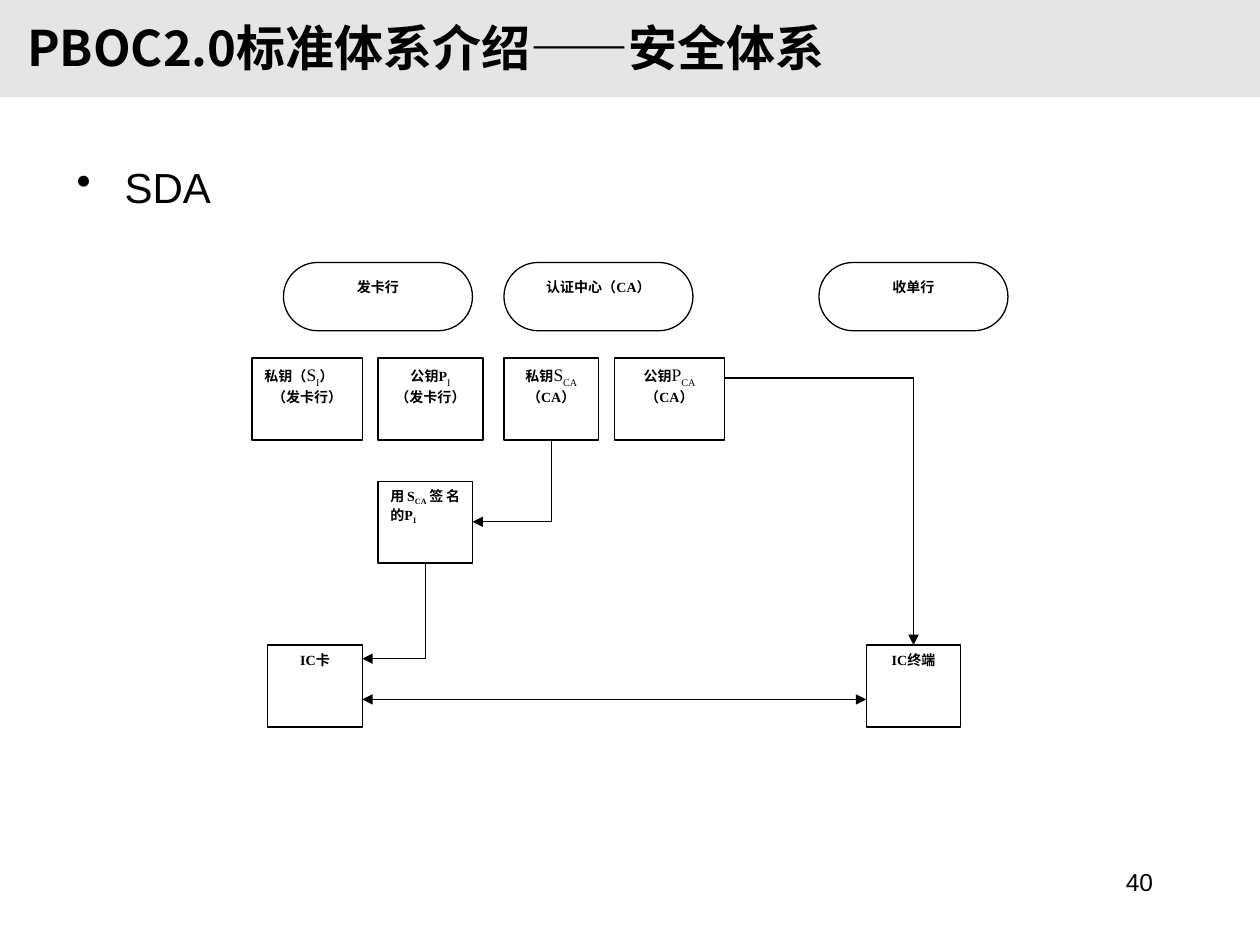
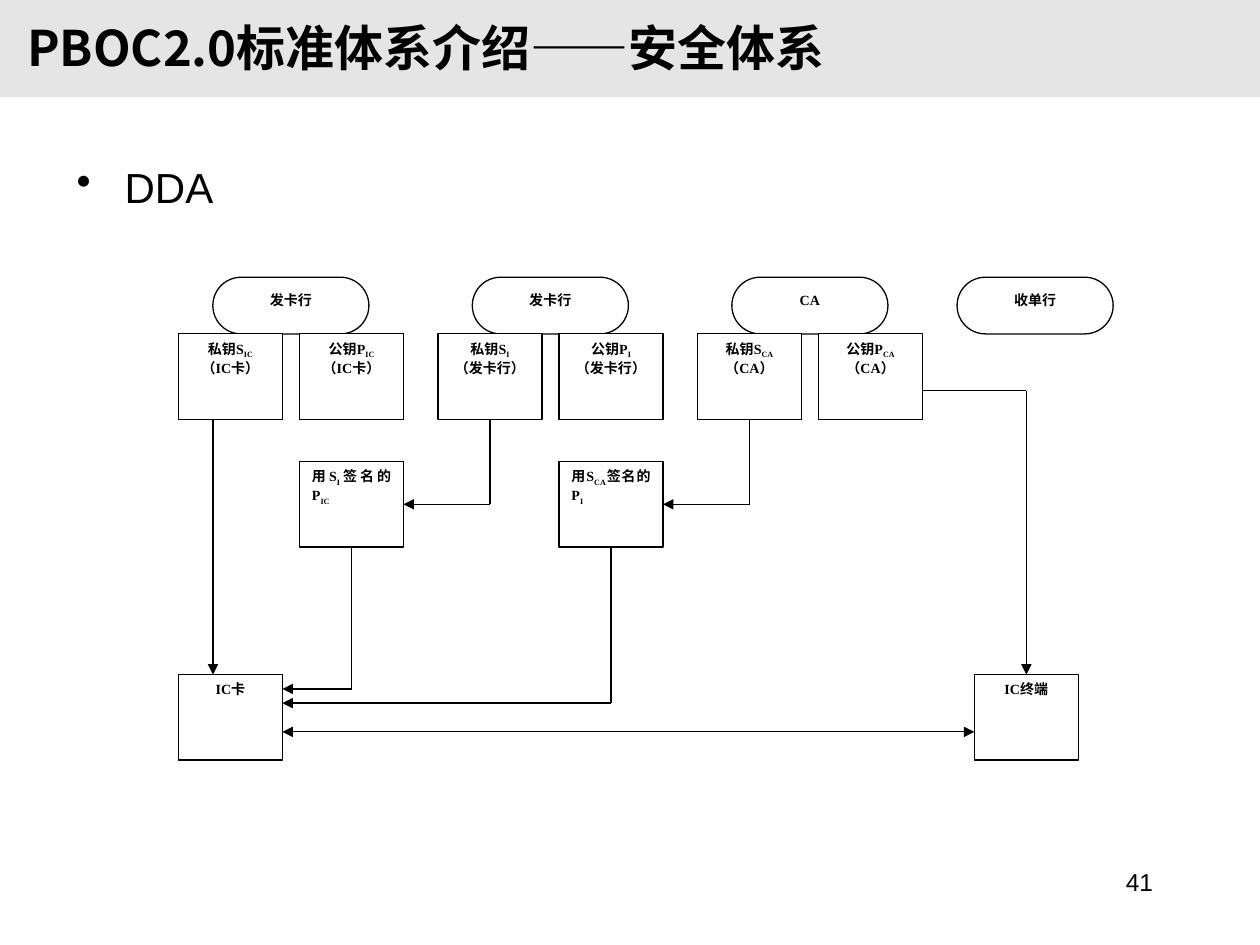
from lxml import etree
from pptx import Presentation
from pptx.dml.color import RGBColor
from pptx.enum import shapes, text
from pptx.oxml import ns
from pptx.util import Pt

BLACK, WHITE, GREY = "000000", "FFFFFF", "E5E5E5"
SANS, SERIF, HAN = "Arial", "Times New Roman", "Noto Sans CJK SC"
TITLE = "PBOC2.0标准体系介绍——安全体系"
KIND = shapes.MSO_SHAPE
ALIGN = text.PP_ALIGN


def tint(part, code):
    part.rgb = RGBColor.from_string(code)


def child(node, tag, **attrs):
    return etree.SubElement(node, ns.qn(tag), **attrs)


def style(para, size, face, bold=False, align=ALIGN.LEFT):
    para.alignment = align
    font = para.font
    font.size, font.name, font.bold = Pt(size), face, bold
    tint(font.fill.fore_color if font.fill.solid() else font.color, BLACK)
    child(font._rPr, "a:ea", typeface=HAN)


def label(slide, box, words, size, face, bold=False, align=ALIGN.LEFT):
    frame = slide.shapes.add_textbox(*map(Pt, box)).text_frame
    frame.word_wrap = True
    para = frame.paragraphs[0]
    para.text = words
    style(para, size, face, bold, align)
    return frame


def write(para, words):
    """Fill a paragraph: |...| is light and larger, _..._ is subscript."""
    for i, chunk in enumerate(words.split("|")):
        for j, piece in enumerate(chunk.split("_")):
            if not piece:
                continue
            run = para.add_run()
            run.text = piece
            if i % 2:
                run.font.size, run.font.bold = Pt(10), False
            if j % 2:
                run.font._element.set("baseline", "-25000")


def block(slide, kind, box, fill):
    shape = slide.shapes.add_shape(kind, *map(Pt, box))
    shape.shadow.inherit = False
    shape.fill.solid()
    tint(shape.fill.fore_color, fill)
    shape.line.fill.background()
    return shape


def node(slide, box, *lines, kind=KIND.RECTANGLE, aligns=(ALIGN.CENTER,) * 2):
    shape = block(slide, kind, box, WHITE)
    shape.line.width = Pt(0.75)
    tint(shape.line.color, BLACK)
    frame = shape.text_frame
    frame.word_wrap = True
    frame.vertical_anchor = text.MSO_ANCHOR.TOP
    for i, (words, align) in enumerate(zip(lines, aligns)):
        para = frame.add_paragraph() if i else frame.paragraphs[0]
        style(para, 8, SERIF, True, align)
        write(para, words)
    return shape


def pill(slide, box, words):
    node(slide, box, words, kind=KIND.ROUNDED_RECTANGLE).adjustments[0] = 0.5


def signed(slide, box, words):
    node(slide, box, words, aligns=[ALIGN.JUSTIFY])


def route(slide, *points):
    """Join the points with straight lines and put an arrowhead on the last."""
    for start, end in zip(points, points[1:]):
        line = slide.shapes.add_connector(
            shapes.MSO_CONNECTOR.STRAIGHT, *map(Pt, start + end))
        line.line.width = Pt(0.75)
        tint(line.line.color, BLACK)
        if end == points[-1]:
            child(line.line._get_or_add_ln(), "a:tailEnd", type="triangle")
        child(line._element.spPr, "a:effectLst")


def base(deck, topic, number):
    slide = deck.slides.add_slide(deck.slide_layouts[6])
    block(slide, KIND.RECTANGLE, (0, 0, 720, 55.5), GREY)
    head = label(slide, (8.6, 9.4, 640.8, 34.6), TITLE, 28, HAN, True)
    head.vertical_anchor = text.MSO_ANCHOR.MIDDLE
    label(slide, (516.2, 491.8, 149.8, 36), number, 14, SANS,
          align=ALIGN.RIGHT)
    body = slide.shapes.add_textbox(*map(Pt, (36.7, 88.6, 575, 36.7)))
    body.text_frame.word_wrap = True
    para = body.text_frame.paragraphs[0]
    para.text = topic
    props = para._p.get_or_add_pPr()
    props.set("marL", str(Pt(27.4)))
    props.set("indent", str(-Pt(27.4)))
    child(child(props, "a:buClr"), "a:srgbClr", val=BLACK)
    child(props, "a:buChar", char="•")
    style(para, 24, SANS)
    return slide


def draw_sda(deck):
    slide = base(deck, "SDA", "40")
    wide, high = 54, 46.8
    for left, name in ((162, "发卡行"), (288, "认证中心（CA）"),
                       (468, "收单行")):
        pill(slide, (left, 150, 108, 39), name)
    key, sign, foot = 204.6, 275, 368.6
    node(slide, (144, key, 63.2, high), "私钥（|S_I_|）", "（发卡行）",
         aligns=(ALIGN.LEFT, ALIGN.CENTER))
    for left, width, name, owner in (
            (216, 60, "公钥P|_I_|", "（发卡行）"),
            (288, wide, "私钥|S_CA_|", "（CA）"),
            (351, 63, "公钥|P_CA_|", "（CA）")):
        node(slide, (left, key, width, high), name, owner)
    signed(slide, (216, sign, wide, high), "用S_CA_签名的P_I_")
    node(slide, (153, foot, wide, high), "IC卡")
    node(slide, (495, foot, wide, high), "IC终端")

    route(slide, (315, key + high), (315, 298.2), (270, 298.2))
    route(slide, (243, sign + high), (243, 376.4), (207, 376.4))
    route(slide, (414, 216), (522, 216), (522, foot))
    for edge in (495, 207):
        route(slide, (342, 399.7), (edge, 399.7))


def draw_dda(deck):
    slide = base(deck, "DDA", "41")
    wide, high = 59.4, 48.8
    top, key, sign, foot = 158.4, 190.8, 263.8, 385.5
    left, step, pair = 102, 148.3, 69.2
    card, term = left + wide, 556.8
    owners = (("发卡行", "IC", "（IC卡）"), ("发卡行", "I", "（发卡行）"),
              ("CA", "CA", "（CA）"))
    for i, (name, sub, owner) in enumerate(owners):
        x = left + i * step
        pill(slide, (x + 19.6, top, 89.2, 32.4), name)
        node(slide, (x, key, wide, high), f"私钥S_{sub}_", owner)
        node(slide, (x + pair, key, wide, high), f"公钥P_{sub}_", owner)
    pill(slide, (546.9, top, 89.2, 32.4), "收单行")
    node(slide, (left, foot, wide, high), "IC卡")
    node(slide, (term, foot, wide, high), "IC终端")

    for i, (signer, holder, entry) in enumerate(
            (("I", "IC", 393.7), ("CA", "I", 401.8))):
        x = left + pair + i * step
        signed(slide, (x, sign, wide, high), f"用S_{signer}_签名的P_{holder}_")
        drop = left + (i + 1) * step + wide / 2
        route(slide, (drop, key + high), (drop, 288.2), (x + wide, 288.2))
        mid = x + wide / 2
        route(slide, (mid, sign + high), (mid, entry), (card, entry))
    route(slide, (121.7, key + high), (121.7, foot))
    out = left + 2 * step + pair + wide
    route(slide, (out, 223.2), (586.5, 223.2), (586.5, foot))
    for edge in (term, card):
        route(slide, (349.2, 418.2), (edge, 418.2))


def main():
    deck = Presentation()
    deck.slide_width, deck.slide_height = Pt(720), Pt(540)
    draw_sda(deck)
    draw_dda(deck)
    deck.save("out.pptx")


if __name__ == "__main__":
    main()
